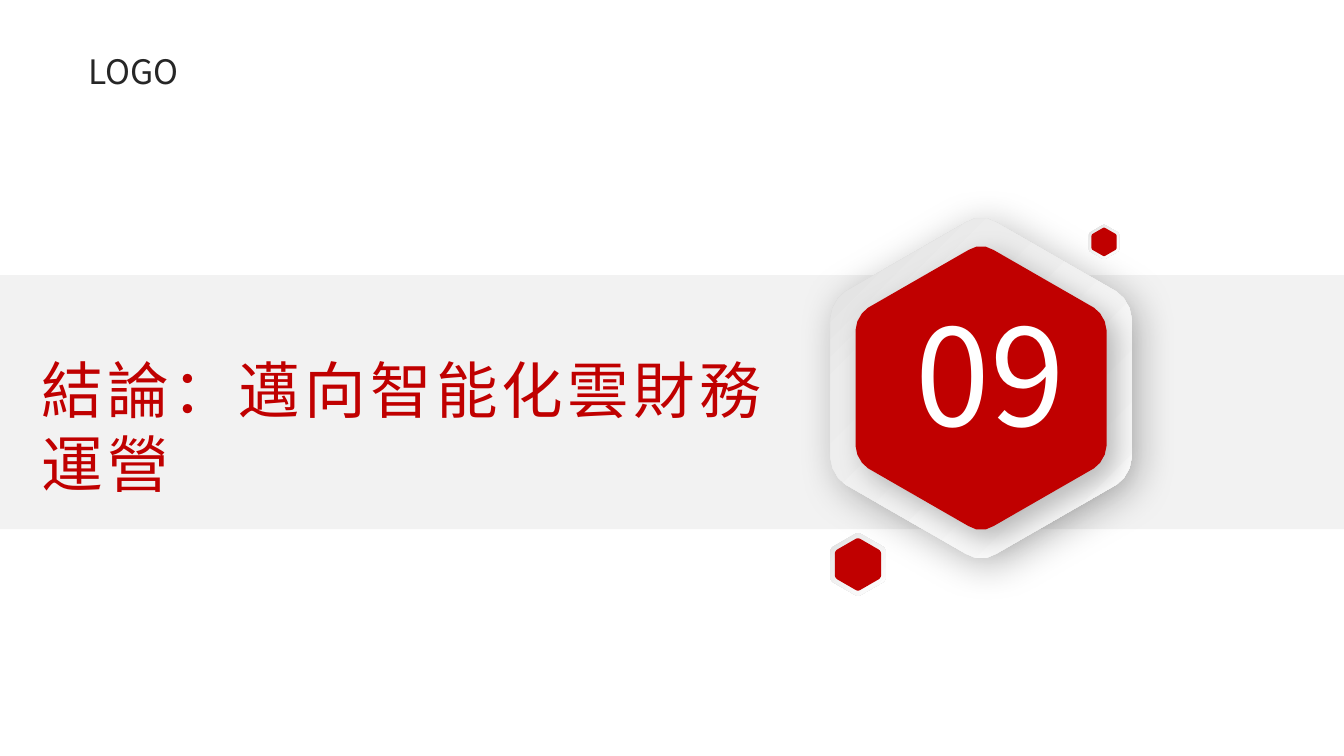
from pptx import Presentation
from pptx.dml.color import RGBColor
from pptx.enum.shapes import MSO_SHAPE
from pptx.enum.text import MSO_AUTO_SIZE as Fit, PP_ALIGN as Align
from pptx.oxml import parse_xml
from pptx.oxml.ns import nsdecls, qn
from pptx.util import Inches, Pt
from copy import deepcopy
from lxml.etree import SubElement

RED, WHITE, INK, BAND = "C00000", "FFFFFF", "262626", "F2F2F2"
RIM = [("D9D9D9", 0), ("ECECEC", 0.27), (WHITE, 1)]
STEPS = 3

# One rounded corner as a Bezier curve, for a hexagon of half width 1
SIDE = [(1, 0.46), (1, 0.53), (0.95, 0.61), (0.9, 0.64)]
TIP = [(0.1, 1.1), (0.05, 1.14), (-0.05, 1.14), (-0.1, 1.1)]


def color(code):
    return RGBColor.from_string(code)


def curve(ctrl):
    """Sample a cubic Bezier curve."""
    for n in range(STEPS + 1):
        t = n / STEPS
        mix = ((1 - t) ** 3, 3 * t * (1 - t) ** 2, 3 * t * t * (1 - t), t ** 3)
        yield tuple(sum(m * p[axis] for m, p in zip(mix, ctrl))
                    for axis in (0, 1))


def outline():
    """Points of the rounded hexagon: the lower half, then the same turned."""
    left = [(-x, y) for x, y in reversed(SIDE)]
    half = [pt for ctrl in (SIDE, TIP, left) for pt in curve(ctrl)]
    return half + [(-x, -y) for x, y in half]


class Deck:
    font = "Noto Sans CJK SC"

    def __init__(self):
        self.prs = Presentation()
        self.prs.slide_width = Inches(13.33)
        self.prs.slide_height = Inches(7.5)
        self.slide = self.prs.slides.add_slide(self.prs.slide_layouts[6])
        self.shapes = self.slide.shapes

    def group(self):
        return self.shapes.add_group_shape().shapes

    def band(self, top, height, fill):
        bar = self.shapes.add_shape(MSO_SHAPE.RECTANGLE, 0, Inches(top),
                                    self.prs.slide_width, Inches(height))
        self.paint(bar, fill)

    def paint(self, shape, fill):
        """Fill with one colour, or with a gradient given as a list of stops."""
        shape.shadow.inherit = False
        shape.line.fill.background()
        if isinstance(fill, str):
            shape.fill.solid()
            shape.fill.fore_color.rgb = color(fill)
            return
        shape.fill.gradient()
        shape.fill.gradient_angle = 315
        first = shape.fill.gradient_stops[0]._gs
        first.addnext(deepcopy(first))
        for stop, (code, pos) in zip(shape.fill.gradient_stops, fill):
            stop.color.rgb = color(code)
            stop.position = pos

    def hexagon(self, home, x, y, width, fill, shade=None):
        """Draw a hexagon centred on x, y; shade is (alpha, blur, distance)."""
        half = width / 2
        pts = [(Inches(x + half * u), Inches(y + half * v))
               for u, v in outline()]
        pen = home.build_freeform(*pts[0])
        pen.add_line_segments(pts[1:], close=True)
        shape = pen.convert_to_shape()
        self.paint(shape, fill)
        if shade:
            self.shadow(shape, *shade)

    def shadow(self, shape, alpha, blur, dist):
        effects = shape._element.spPr.find(qn("a:effectLst"))
        effects.append(parse_xml(
            f'<a:outerShdw {nsdecls("a")} blurRad="{Pt(blur)}" '
            f'dist="{Pt(dist)}" dir="2700000" algn="tl" rotWithShape="0">'
            f'<a:srgbClr val="000000"><a:alpha val="{alpha * 1000}"/>'
            '</a:srgbClr></a:outerShdw>'))

    def text(self, home, words, box, size, code, align=Align.LEFT,
             inset=(0.1, 0.05), gap=0):
        """Add a text box; gap is letter spacing in points."""
        shape = home.add_textbox(*map(Inches, box))
        frame = shape.text_frame
        frame.word_wrap = True
        frame.auto_size = Fit.SHAPE_TO_FIT_TEXT
        frame.margin_left = frame.margin_right = Inches(inset[0])
        frame.margin_top = frame.margin_bottom = Inches(inset[1])
        frame.text = words
        para = frame.paragraphs[0]
        para.alignment = align
        font = para.runs[0].font
        font.size = Pt(size)
        font.name = self.font
        font.color.rgb = color(code)
        props = para.runs[0]._r.get_or_add_rPr()
        SubElement(props, qn("a:ea")).set("typeface", self.font)
        if gap:
            props.set("spc", str(gap * 100))


def main():
    deck = Deck()
    deck.band(2.73, 2.52, BAND)

    badge = deck.group()
    deck.hexagon(badge, 9.73, 3.85, 2.99, RIM, (28, 28, 7))
    deck.hexagon(badge, 9.73, 3.85, 2.49, RED, (25, 20, 9))
    deck.text(badge, "09", (8.23, 2.85, 3.18, 1.72), 96, WHITE, Align.CENTER)

    deck.text(deck.shapes, "結論：邁向智能化雲財務運營", (0.34, 3.45, 7.8, 0.82),
              44, RED, inset=(0.07, 0.04), gap=3)

    for x, y, outer, inner in ((8.51, 5.6, 0.55, 0.46),
                               (10.95, 2.4, 0.3, 0.25)):
        dot = deck.group()
        deck.hexagon(dot, x, y, outer, RIM)
        deck.hexagon(dot, x, y, inner, RED)

    deck.text(deck.shapes, "LOGO", (0.78, 0.46, 1.22, 0.5), 24, INK,
              Align.JUSTIFY)
    deck.prs.save("out.pptx")


if __name__ == "__main__":
    main()
